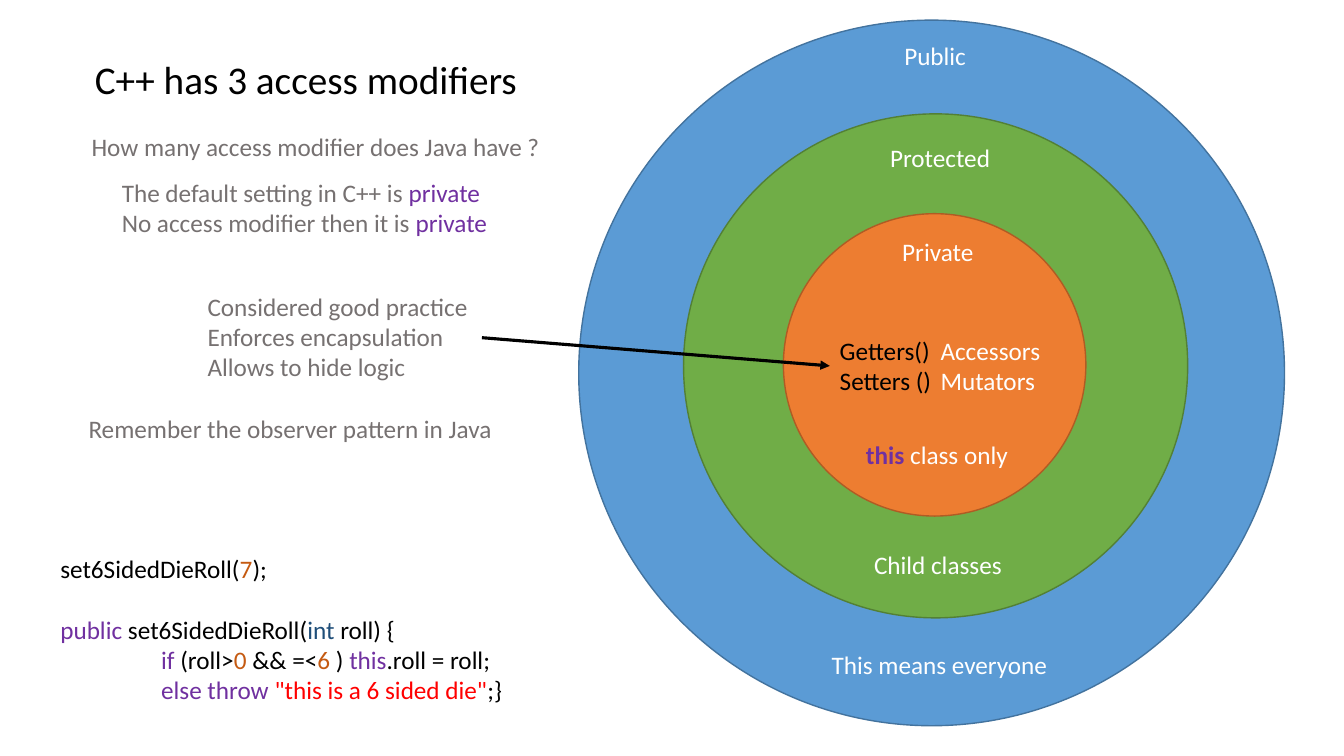
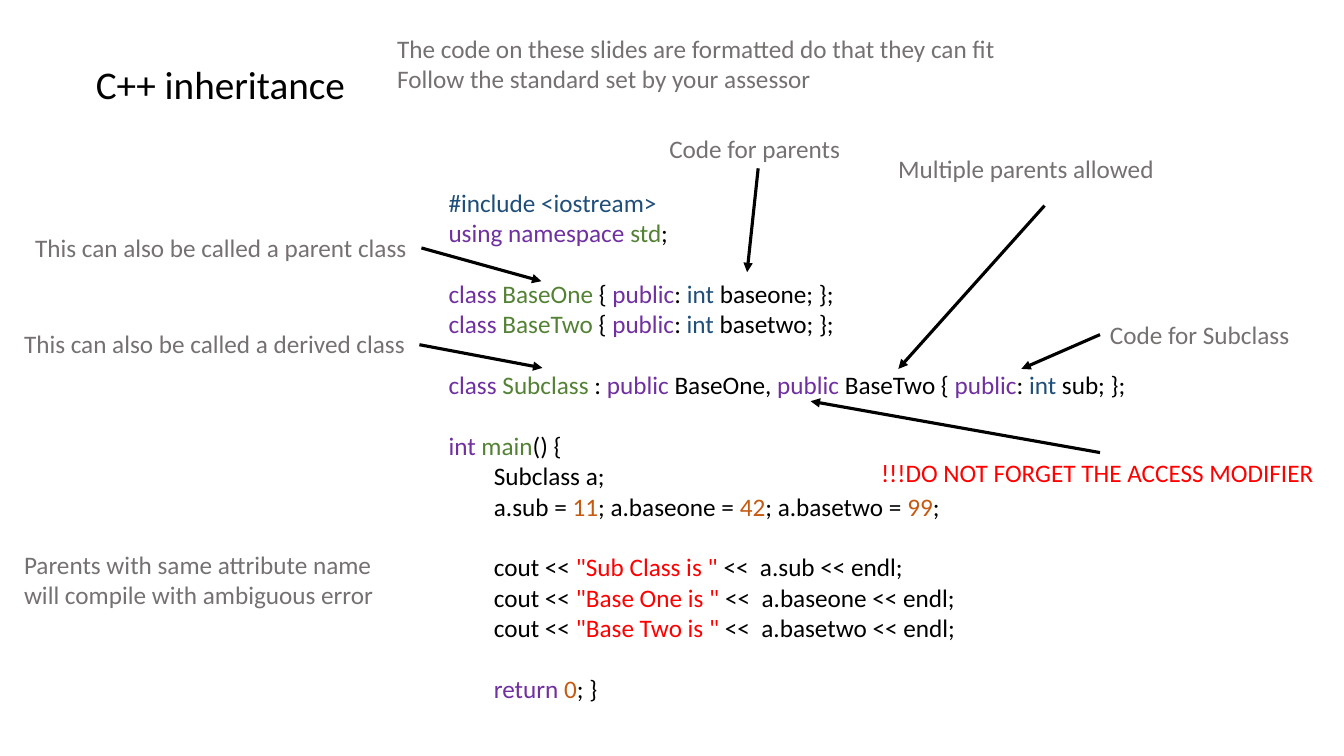
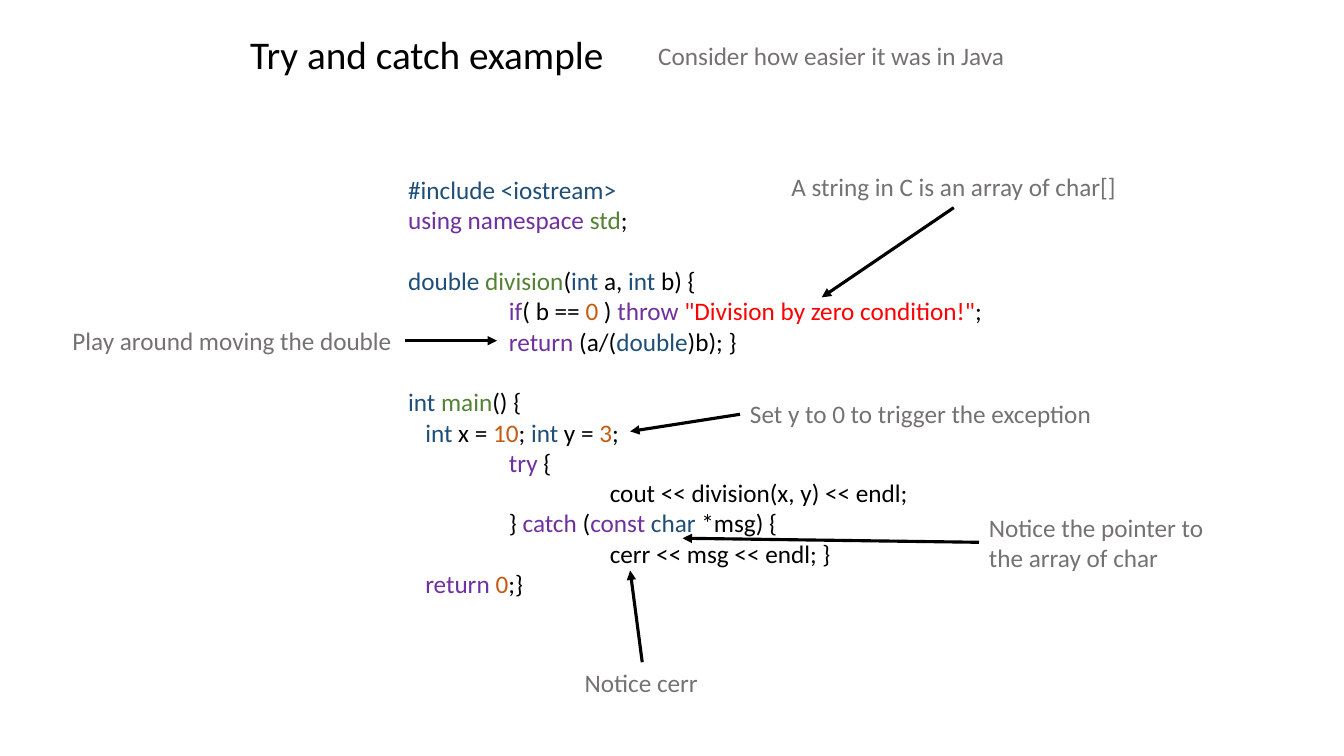
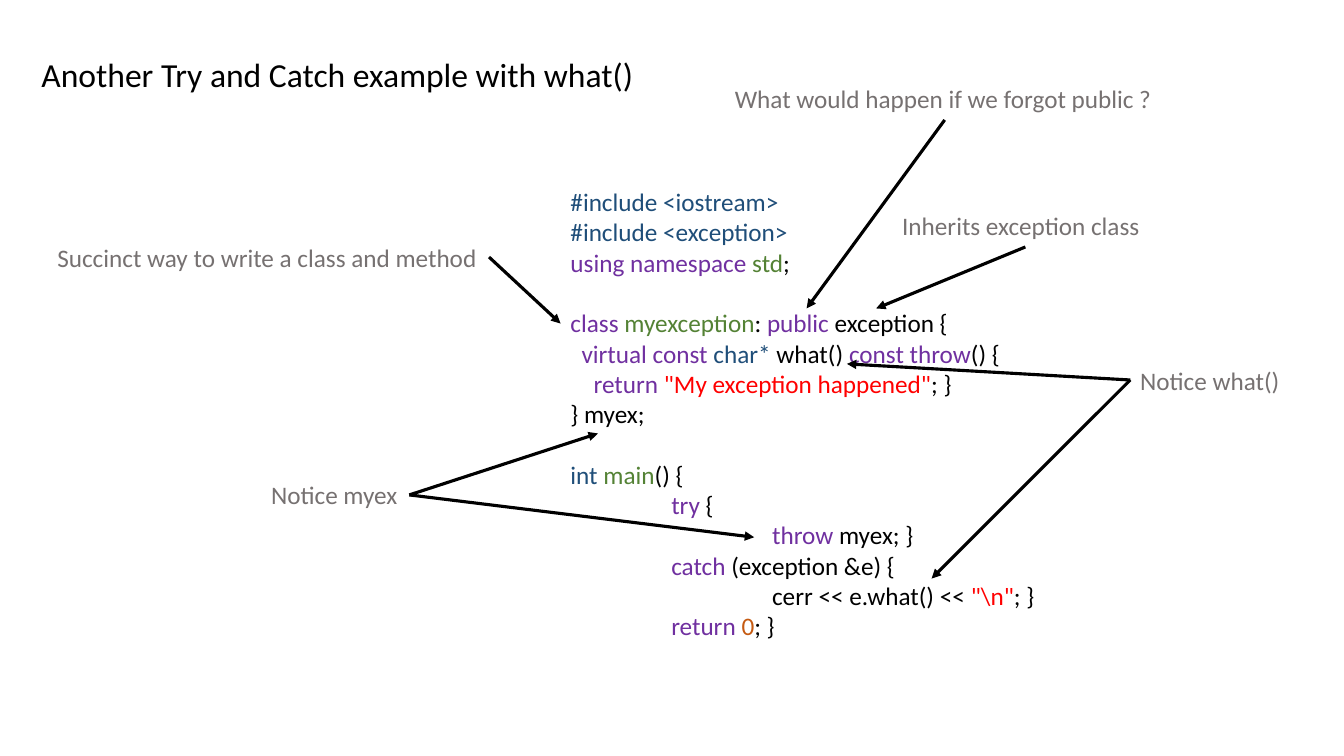
from dataclasses import dataclass
from typing import Optional, Sequence, Union

from lxml.etree import SubElement
from pptx import Presentation
from pptx.dml.color import RGBColor
from pptx.enum.shapes import MSO_CONNECTOR as Connector
from pptx.enum.shapes import MSO_SHAPE as Preset
from pptx.enum.text import MSO_ANCHOR as Anchor
from pptx.enum.text import MSO_AUTO_SIZE as AutoSize
from pptx.enum.text import PP_ALIGN as Align
from pptx.oxml.ns import qn
from pptx.util import Inches, Pt

BLACK = RGBColor(0x00, 0x00, 0x00)
WHITE = RGBColor(0xFF, 0xFF, 0xFF)
GREY = RGBColor(0x76, 0x71, 0x71)
PURPLE = RGBColor(0x70, 0x30, 0xA0)
NAVY = RGBColor(0x1F, 0x4E, 0x79)
LEAF = RGBColor(0x54, 0x82, 0x35)
RUST = RGBColor(0xC5, 0x5A, 0x11)
RED = RGBColor(0xFF, 0x00, 0x00)
BLUE = RGBColor(0x5B, 0x9B, 0xD5)
BLUE_EDGE = RGBColor(0x43, 0x73, 0x9E)
GREEN = RGBColor(0x70, 0xAD, 0x47)
GREEN_EDGE = RGBColor(0x53, 0x80, 0x35)
ORANGE = RGBColor(0xED, 0x7D, 0x31)
ORANGE_EDGE = RGBColor(0xAF, 0x5C, 0x24)

FONT = "Calibri"
BODY_SIZE = 18
LINE_RATIO = 1.214  # line height of the font, as a share of its size
PADDING = 0.1  # top and bottom insets together, in inches
TAB = 1.0
STEP = 0.45


@dataclass(frozen=True)
class Span:
    """A run of text; no colour means the colour of its box."""
    text: str
    color: Optional[RGBColor] = None
    bold: bool = False


@dataclass(frozen=True)
class Line:
    """A paragraph, with its indent in inches and an optional gap above."""
    spans: Sequence[Span]
    indent: float = 0
    gap: bool = False


@dataclass(frozen=True)
class Block:
    """A block of text lines; rows is the count of lines after wrapping."""
    left: float
    top: float
    width: float
    lines: Sequence[Line]
    color: RGBColor = GREY
    wrap: bool = False
    size: int = BODY_SIZE
    rows: int = 0


@dataclass(frozen=True)
class Ring:
    """A filled circle of the access diagram."""
    left: float
    top: float
    size: float
    fill: RGBColor
    edge: RGBColor


@dataclass(frozen=True)
class Arrow:
    """A straight arrow from one point to another."""
    x1: float
    y1: float
    x2: float
    y2: float


@dataclass(frozen=True)
class Page:
    """Everything that one slide shows."""
    title: Block
    blocks: Sequence[Block]
    arrows: Sequence[Arrow]
    rings: Sequence[Ring] = ()


def line(*parts: Union[str, Span], indent: float = 0, gap: bool = False) -> Line:
    """Make a line from plain strings and coloured spans."""
    spans = [Span(part) if isinstance(part, str) else part for part in parts]
    return Line(spans, indent, gap)


def keyword(text: str) -> Span:
    """Make a keyword span."""
    return Span(text, PURPLE)


def kind(text: str) -> Span:
    """Make a span for a data type or an include."""
    return Span(text, NAVY)


def name(text: str) -> Span:
    """Make a span for a declared name."""
    return Span(text, LEAF)


def number(text: str) -> Span:
    """Make a number span."""
    return Span(text, RUST)


def quoted(text: str) -> Span:
    """Make a span for a string in quotes."""
    return Span(f'"{text}"', RED)


def note(left: float, top: float, width: float, *texts: str, color: RGBColor = GREY,
         wrap: bool = False, rows: int = 0) -> Block:
    """Make a block of one-colour remarks."""
    return Block(left, top, width, [line(text) for text in texts], color, wrap, rows=rows)


def code(left: float, top: float, width: float, *lines: Line) -> Block:
    """Make a block of program code."""
    return Block(left, top, width, lines, BLACK, wrap=True)


def heading(left: float, top: float, width: float, text: str, size: int = 28) -> Block:
    """Make the title of a page."""
    return Block(left, top, width, [line(text)], BLACK, size=size)


def write_span(para, text: str, *, size: int, color: RGBColor, bold: bool = False) -> None:
    """Add one formatted run to a paragraph."""
    span = para.add_run()
    span.text = text
    span.font.name = FONT
    span.font.size = Pt(size)
    span.font.bold = bold
    span.font.color.rgb = color


def fill_box(box, block: Block) -> None:
    """Place a text box or placeholder and write the lines of a block in it."""
    row_height = block.size * LINE_RATIO
    rows = block.rows or len(block.lines) + sum(item.gap for item in block.lines)
    box.left, box.top = Inches(block.left), Inches(block.top)
    box.width = Inches(block.width)
    box.height = Inches(PADDING + rows * row_height / 72)
    frame = box.text_frame
    frame.word_wrap = block.wrap
    frame.auto_size = AutoSize.SHAPE_TO_FIT_TEXT
    frame.vertical_anchor = Anchor.TOP
    for index, item in enumerate(block.lines):
        para = frame.add_paragraph() if index else frame.paragraphs[0]
        para.alignment = Align.LEFT
        para.space_before = Pt(row_height if item.gap else 0)
        if item.indent:
            para._p.get_or_add_pPr().set("marL", str(Inches(item.indent)))
        for span in item.spans:
            write_span(para, span.text, size=block.size,
                       color=span.color or block.color, bold=span.bold)


def draw_ring(slide, ring: Ring) -> None:
    """Draw one circle."""
    size = Inches(ring.size)
    circle = slide.shapes.add_shape(
        Preset.OVAL, Inches(ring.left), Inches(ring.top), size, size)
    circle.shadow.inherit = False
    circle.fill.solid()
    circle.fill.fore_color.rgb = ring.fill
    circle.line.color.rgb = ring.edge
    circle.line.width = Pt(1)


def draw_arrow(slide, arrow: Arrow) -> None:
    """Draw one black arrow with a triangular head."""
    ends = [Inches(value) for value in (arrow.x1, arrow.y1, arrow.x2, arrow.y2)]
    connector = slide.shapes.add_connector(Connector.STRAIGHT, *ends)
    connector.line.color.rgb = BLACK
    connector.line.width = Pt(2.25)
    SubElement(connector.line._get_or_add_ln(), qn("a:tailEnd"), type="triangle")
    SubElement(connector._element.spPr, qn("a:effectLst"))


def draw_page(deck, page: Page) -> None:
    """Add a slide and draw a page on it."""
    slide = deck.slides.add_slide(deck.slide_layouts[5])
    fill_box(slide.shapes.title, page.title)
    for ring in page.rings:
        draw_ring(slide, ring)
    for block in page.blocks:
        fill_box(slide.shapes.add_textbox(0, 0, 0, 0), block)
    for arrow in page.arrows:
        draw_arrow(slide, arrow)


def base_class(title: str, field: str, gap: bool = False) -> Line:
    """Write the declaration of a parent class."""
    return line(keyword("class "), name(title), " { ", keyword("public"), ": ",
                kind("int "), f"{field}; }};", gap=gap)


def print_field(label: str, field: str, gap: bool = False) -> Line:
    """Write the statement that prints a field."""
    return line("cout << ", quoted(f"{label} is "), f" <<  a.{field} << endl;",
                indent=STEP, gap=gap)


INCLUDE_IOSTREAM = line(kind("#include <iostream>"))
USING_STD = line(keyword("using namespace "), name("std"), ";")
INT_MAIN = line(kind("int "), name("main"), "() {", gap=True)

ACCESS = Page(
    title=heading(0.84, 0.5, 4.44, "C++ has 3 access modifiers"),
    rings=[
        Ring(5.74, 0.2, 7, BLUE, BLUE_EDGE),
        Ring(6.78, 1.13, 5, GREEN, GREEN_EDGE),
        Ring(7.77, 2.12, 3, ORANGE, ORANGE_EDGE),
    ],
    blocks=[
        note(8.87, 0.35, 0.82, "Public", color=WHITE),
        note(8.15, 6.39, 2.37, "This means everyone", color=WHITE),
        note(8.73, 1.36, 1.2, "Protected", color=WHITE),
        note(8.57, 5.4, 1.48, "Child classes", color=WHITE),
        note(8.85, 2.29, 0.91, "Private", color=WHITE),
        Block(8.49, 4.31, 1.61,
              [line(Span("this", PURPLE, bold=True), " class only")], WHITE),
        Block(8.23, 3.28, 2.21, [
            line(Span("Getters()\t", BLACK), "Accessors"),
            line(Span("Setters ()\t", BLACK), "Mutators"),
        ], WHITE),
        note(1.96, 2.84, 2.81, "Considered good practice",
             "Enforces encapsulation", "Allows to hide logic"),
        code(
            0.5, 5.44, 4.79,
            line("set6SidedDieRoll(", number("7"), ");"),
            line(keyword("public"), " set6SidedDieRoll(", kind("int"), " roll) {", gap=True),
            line(keyword("if"), " (roll>", number("0"), " && =<", number("6"), " ) ",
                 keyword("this"), ".roll = roll;", indent=TAB),
            line(keyword("else throw "), quoted("this is a 6 sided die"), ";}", indent=TAB),
        ),
        note(0.81, 1.25, 4.7, "How many access modifier does Java have ?"),
        Block(1.11, 1.71, 3.93, [
            line("The default setting in C++ is ", keyword("private")),
            line("No access modifier then it is ", keyword("private")),
        ]),
        note(0.78, 4.05, 4.26, "Remember the observer pattern in Java"),
    ],
    arrows=[Arrow(4.78, 3.35, 8.23, 3.63)],
)

INHERITANCE = Page(
    title=heading(0.85, 0.55, 2.8, "C++ inheritance"),
    blocks=[
        code(
            4.35, 1.81, 7.51,
            INCLUDE_IOSTREAM,
            USING_STD,
            base_class("BaseOne", "baseone", gap=True),
            base_class("BaseTwo", "basetwo"),
            line(keyword("class "), name("Subclass "), ": ", keyword("public "), "BaseOne, ",
                 keyword("public "), "BaseTwo { ", keyword("public"), ": ", kind("int"),
                 " sub; };", gap=True),
            line(keyword("int "), name("main"), "() {", gap=True),
            line("Subclass a;", indent=STEP),
            line("a.sub = ", number("11"), "; a.baseone = ", number("42"),
                 "; a.basetwo = ", number("99"), ";", indent=STEP),
            print_field("Sub Class", "sub", gap=True),
            print_field("Base One", "baseone"),
            print_field("Base Two", "basetwo"),
            line(keyword("return "), number("0"), "; }", indent=STEP, gap=True),
        ),
        note(0.14, 3.21, 4.03, "This can also be called a derived class"),
        note(0.25, 2.26, 3.93, "This can also be called a parent class"),
        note(8.81, 1.47, 2.77, "Multiple parents allowed"),
        note(8.64, 4.49, 4.53, "!!!DO NOT FORGET THE ACCESS MODIFIER", color=RED),
        note(10.91, 3.12, 2.06, "Code for Subclass"),
        note(3.84, 0.28, 6.21, "The code on these slides are formatted do that they can fit",
             "Follow the standard set by your assessor"),
        note(6.54, 1.27, 1.97, "Code for parents"),
        note(0.14, 5.4, 3.76,
             "Parents with same attribute name will compile with ambiguous error",
             wrap=True, rows=2),
    ],
    arrows=[
        Arrow(4.16, 3.42, 5.38, 3.65),
        Arrow(4.18, 2.46, 5.37, 2.79),
        Arrow(7.52, 1.67, 7.41, 2.7),
        Arrow(10.91, 4.49, 8.04, 3.98),
        Arrow(10.91, 3.32, 10.13, 3.66),
        Arrow(10.36, 2.04, 8.91, 3.66),
    ],
)

TRY_CATCH = Page(
    title=heading(2.38, 0.25, 3.75, "Try and catch example"),
    blocks=[
        code(
            3.95, 1.68, 5.97,
            INCLUDE_IOSTREAM,
            USING_STD,
            line(kind("double "), name("division"), "(", kind("int "), "a, ", kind("int"),
                 " b) {", gap=True),
            line(keyword("if"), "( b == ", number("0"), " ) ", keyword("throw "),
                 quoted("Division by zero condition!"), ";", indent=TAB),
            line(keyword("return"), " (a/(", kind("double"), ")b); }", indent=TAB),
            INT_MAIN,
            line(kind("int"), " x = ", number("10"), "; ", kind("int"), " y = ",
                 number("3"), ";", indent=0.17),
            line(keyword("try"), " {", indent=TAB),
            line("cout << division(x, y) << endl;", indent=2 * TAB),
            line("} ", keyword("catch"), " (", keyword("const "), kind("char "), "*msg) {",
                 indent=TAB),
            line("cerr << msg << endl; }", indent=2 * TAB),
            line(keyword("return "), number("0"), ";}", indent=0.17),
        ),
        note(9.71, 5.03, 2.41, "Notice the pointer to", "the array of char"),
        note(0.62, 3.18, 3.41, "Play around moving the double"),
        note(5.7, 6.57, 1.34, "Notice cerr"),
        note(7.75, 1.65, 3.43, "A string in C is an array of char[]"),
        note(7.34, 3.9, 3.63, "Set y to 0 to trigger the exception"),
        note(6.43, 0.35, 3.68, "Consider how easier it was in Java"),
    ],
    arrows=[
        Arrow(9.71, 5.38, 6.77, 5.34),
        Arrow(4.02, 3.38, 4.93, 3.38),
        Arrow(6.37, 6.57, 6.25, 5.66),
        Arrow(9.46, 2.06, 8.15, 2.95),
        Arrow(7.34, 4.11, 6.25, 4.28),
    ],
)

WHAT = Page(
    title=heading(0.31, 0.48, 6.12, "Another Try and Catch example with what()", size=24),
    blocks=[
        code(
            5.56, 1.8, 4.86,
            INCLUDE_IOSTREAM,
            line(kind("#include <exception>")),
            USING_STD,
            line(keyword("class "), name("myexception"), ": ", keyword("public"),
                 " exception {", gap=True),
            line(keyword("virtual const "), kind("char*"), " what() ",
                 keyword("const throw"), "() {", indent=0.11),
            line(keyword("return "), quoted("My exception happened"), "; }", indent=0.23),
            line("} myex;"),
            INT_MAIN,
            line(keyword("try"), " {", indent=TAB),
            line(keyword("throw "), "myex; }", indent=2 * TAB),
            line(keyword("catch"), " (exception &e) {", indent=TAB),
            line("cerr << e.what() << ", quoted("\\n"), "; }", indent=2 * TAB),
            line(keyword("return "), number("0"), "; }", indent=TAB),
        ),
        note(2.59, 4.71, 1.47, "Notice myex"),
        note(11.21, 3.57, 1.6, "Notice what()"),
        note(8.85, 2.04, 2.64, "Inherits exception class"),
        note(0.47, 2.35, 4.38, "Succinct way to write a class and method", wrap=True),
        note(7.19, 0.78, 4.37, "What would happen if we forgot public ?"),
    ],
    arrows=[
        Arrow(4.06, 4.91, 5.93, 4.3),
        Arrow(4.06, 4.91, 7.48, 5.33),
        Arrow(11.21, 3.77, 9.24, 5.74),
        Arrow(11.21, 3.77, 8.4, 3.61),
        Arrow(10.17, 2.45, 8.69, 3.06),
        Arrow(4.85, 2.55, 5.56, 3.21),
        Arrow(9.37, 1.19, 8, 3.06),
    ],
)


def main() -> None:
    """Build the deck and save it."""
    deck = Presentation()
    deck.slide_width, deck.slide_height = Inches(13.33), Inches(7.5)
    for page in (ACCESS, INHERITANCE, TRY_CATCH, WHAT):
        draw_page(deck, page)
    deck.save("out.pptx")


main()
